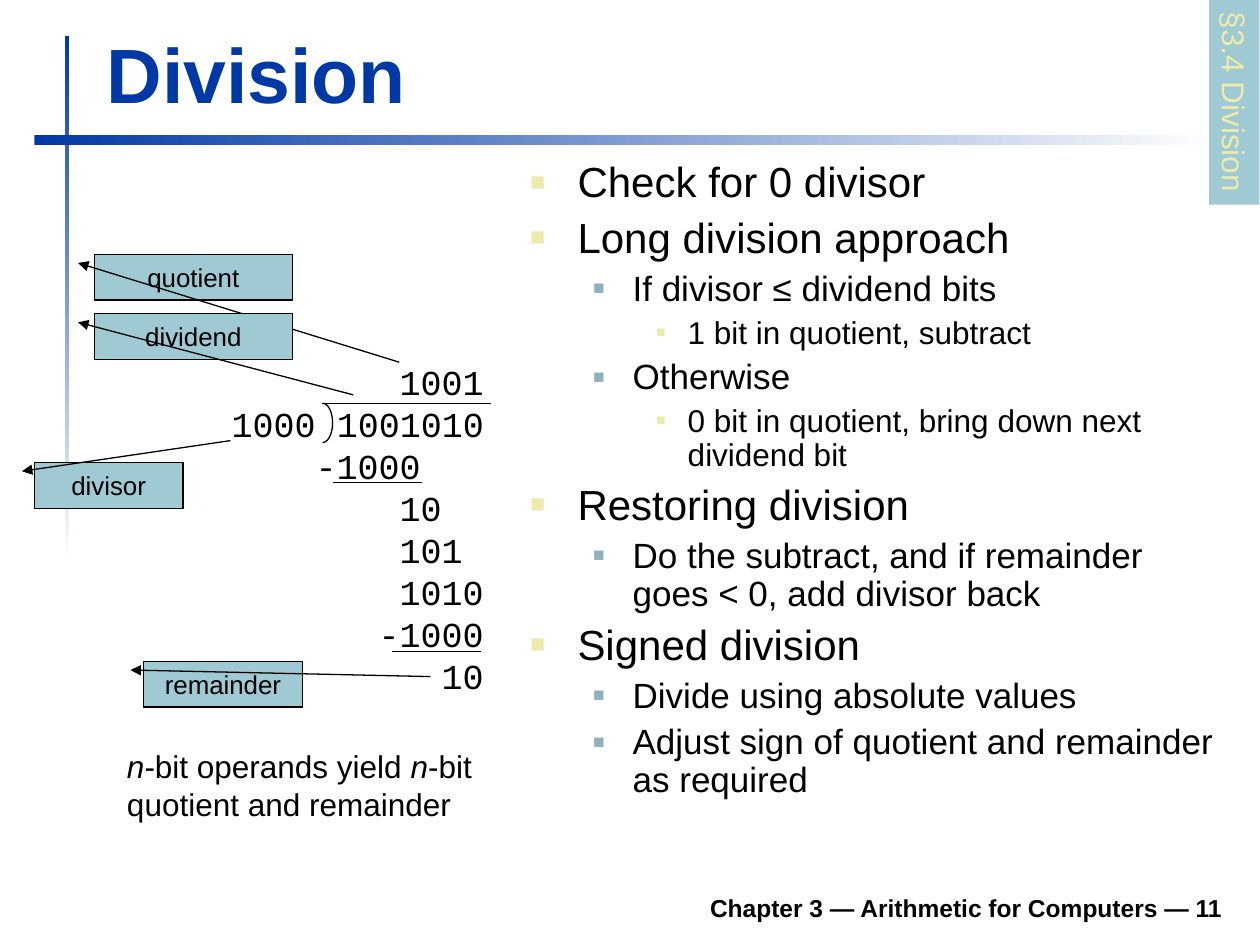
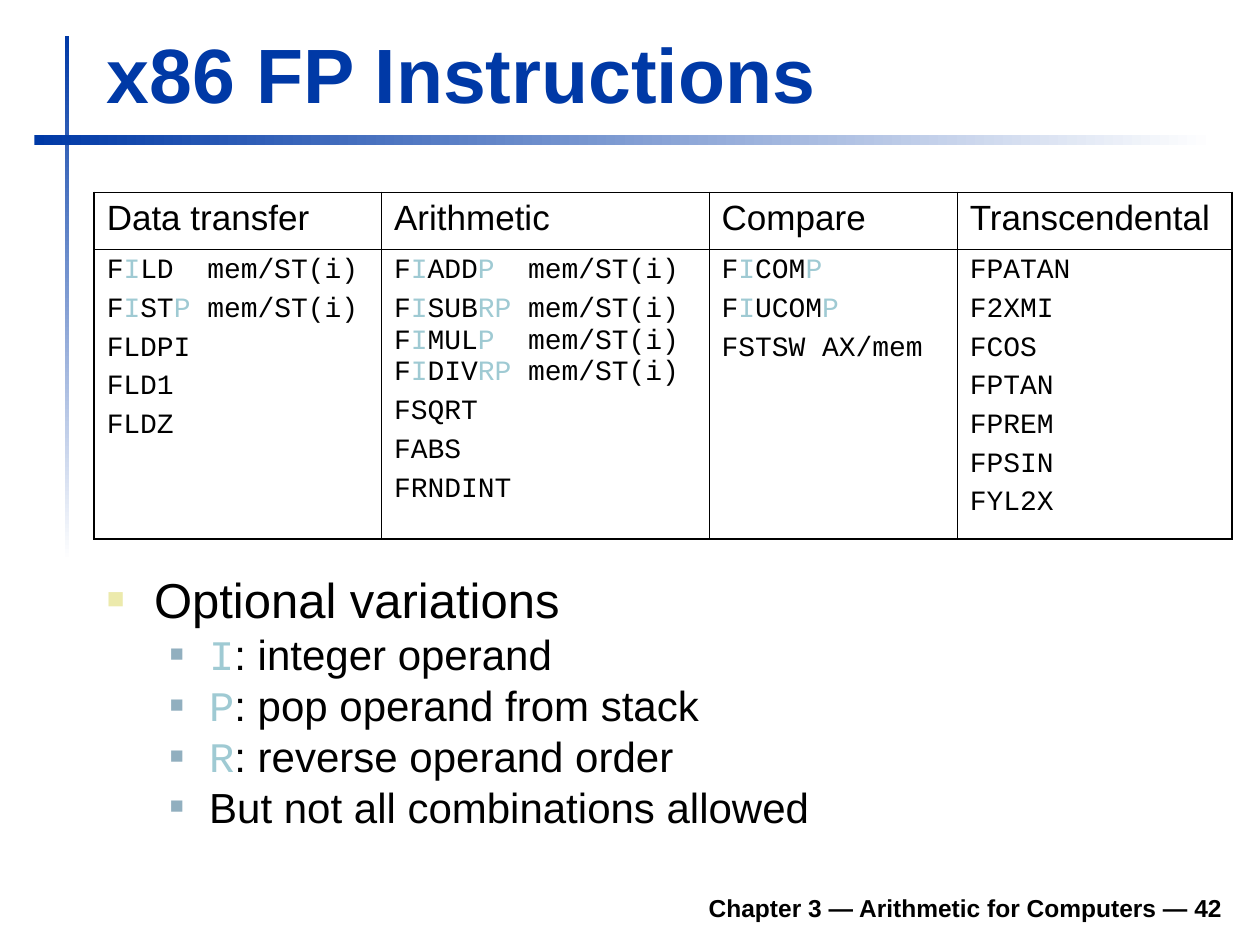
import pptx
import pptx.util
import pptx.dml.color
import pptx.enum.shapes
import pptx.enum.text
import pptx.oxml
import pptx.oxml.ns

Pt = pptx.util.Pt
SHAPE = pptx.enum.shapes.MSO_SHAPE
ALIGN = pptx.enum.text.PP_ALIGN
ANCHOR = pptx.enum.text.MSO_ANCHOR
NAMESPACE = pptx.oxml.ns.nsdecls("a")

COLORS = {
    "title": "0039A6",
    "text": "000000",
    "page": "FFFFFF",
    "accent": "9FCAD3",
    "sand": "ECEAAC",
    "slate": "91AFBF",
}
HAIRLINE = 0.74
SANS = {"name": "Arial", "color": "text"}
MONO = {"name": "Courier New", "color": "text"}
ACCENT_MONO = {"name": "Courier New", "color": "accent"}
TITLE_FONT = {**SANS, "size": Pt(44), "bold": True, "color": "title"}
FOOTER_FONT = {**SANS, "size": Pt(14), "bold": True}
LABEL_FONT = {**SANS, "size": Pt(14.8)}
BULLETS = [
    {"left": 27, "hang": 27, "color": "sand", "percent": 60},
    {"left": 58.5, "hang": 22.5, "color": "slate", "percent": 55},
    {"left": 90, "hang": 18, "color": "sand", "percent": 50},
]

DIVISION_POINTS = [
    (0, "Check for 0 divisor"),
    (0, "Long division approach"),
    (1, "If divisor ≤ dividend bits"),
    (2, "1 bit in quotient, subtract"),
    (1, "Otherwise"),
    (2, "0 bit in quotient, bring down next dividend bit"),
    (0, "Restoring division"),
    (1, "Do the subtract, and if remainder goes < 0, add divisor back"),
    (0, "Signed division"),
    (1, "Divide using absolute values"),
    (1, "Adjust sign of quotient and remainder as required"),
]
LONG_DIVISION = [
    (8, "1001"),
    (0, "1000 1001010"),
    (4, "-1000"),
    (8, "10"),
    (8, "101"),
    (8, "1010"),
    (7, "-1000"),
    (10, "10"),
]
VARIATIONS = [
    (0, "Optional variations"),
    (1, "*I*: integer operand"),
    (1, "*P*: pop operand from stack"),
    (1, "*R*: reverse operand order"),
    (1, "But not all combinations allowed"),
]
INSTRUCTIONS = {
    "Data transfer": [
        "F*I*LD  mem/ST(i)", "F*I*ST*P* mem/ST(i)", "FLDPI", "FLD1", "FLDZ",
    ],
    "Arithmetic": [
        "F*I*ADD*P*  mem/ST(i)",
        "F*I*SUB*RP* mem/ST(i) F*I*MUL*P*  mem/ST(i) F*I*DIV*RP* mem/ST(i)",
        "FSQRT", "FABS", "FRNDINT",
    ],
    "Compare": ["F*I*COM*P*", "F*I*UCOM*P*", "FSTSW AX/mem"],
    "Transcendental": [
        "FPATAN", "F2XMI", "FCOS", "FPTAN", "FPREM", "FPSIN", "FYL2X",
    ],
}


def rgb(name):
    return pptx.dml.color.RGBColor.from_string(COLORS[name])


def points(*lengths):
    return [Pt(length) for length in lengths]


def apply_format(target, values):
    for attribute, value in values.items():
        if attribute == "color":
            target.color.rgb = rgb(value)
        else:
            setattr(target, attribute, value)


def append_xml(parent, xml):
    parent.append(pptx.oxml.parse_xml(xml))


def add_runs(paragraph, text, font, emphasis=None):
    for index, piece in enumerate(text.split("*")):
        values = {**font, **(emphasis or {})} if index % 2 else font
        for number, line in enumerate(piece.split("\n")):
            if number:
                paragraph.add_line_break()
            if line:
                run = paragraph.add_run()
                run.text = line
                apply_format(run.font, values)


def next_paragraph(frame, index):
    return frame.add_paragraph() if index else frame.paragraphs[0]


def add_text_box(slide, box):
    shape = slide.shapes.add_textbox(*points(*box))
    shape.text_frame.word_wrap = True
    return shape


def add_label(slide, box, text, font, emphasis=None):
    shape = add_text_box(slide, box)
    add_runs(shape.text_frame.paragraphs[0], text, font, emphasis)
    return shape


def add_bullets(slide, box, items, sizes, spaces, line_spacing):
    frame = add_text_box(slide, box).text_frame
    for index, (level, text) in enumerate(items):
        paragraph = next_paragraph(frame, index)
        apply_format(paragraph, {
            "level": level,
            "line_spacing": line_spacing,
            "space_before": Pt(spaces[level]),
        })
        bullet = BULLETS[level]
        properties = paragraph._p.get_or_add_pPr()
        properties.set("marL", str(Pt(bullet["left"])))
        properties.set("indent", str(-Pt(bullet["hang"])))
        for xml in (
            f'<a:buClr {NAMESPACE}><a:srgbClr val="{COLORS[bullet["color"]]}"/></a:buClr>',
            f'<a:buSzPct {NAMESPACE} val="{bullet["percent"] * 1000}"/>',
            f'<a:buFont {NAMESPACE} typeface="Arial"/>',
            f'<a:buChar {NAMESPACE} char="■"/>',
        ):
            append_xml(properties, xml)
        add_runs(paragraph, text, {**SANS, "size": Pt(sizes[level])}, ACCENT_MONO)


def set_line(shape):
    apply_format(shape.line, {"color": "text", "width": Pt(HAIRLINE)})


def add_line(slide, left, right, y):
    connector = slide.shapes.add_connector(
        pptx.enum.shapes.MSO_CONNECTOR.STRAIGHT, *points(left, y, right, y))
    set_line(connector)
    append_xml(connector._element.spPr, f"<a:effectLst {NAMESPACE}/>")


def add_callout(slide, box, text, target):
    shape = slide.shapes.add_shape(SHAPE.LINE_CALLOUT_1, *points(*box))
    shape.shadow.inherit = False
    shape.fill.solid()
    shape.fill.fore_color.rgb = rgb("accent")
    set_line(shape)
    append_xml(shape.line._get_or_add_ln(), f'<a:headEnd {NAMESPACE} type="triangle"/>')
    for index, value in enumerate((0.188, -0.083, *target)):
        shape.adjustments[index] = value
    paragraph = shape.text_frame.paragraphs[0]
    paragraph.alignment = ALIGN.CENTER
    shape.text_frame.vertical_anchor = ANCHOR.MIDDLE
    add_runs(paragraph, text, LABEL_FONT)


def add_division_bracket(slide):
    arc = slide.shapes.add_shape(SHAPE.ARC, *points(178.6, 230.4, 11.5, 22.5))
    arc.adjustments[1] = 54
    arc.shadow.inherit = False
    arc.fill.background()
    set_line(arc)


def add_gradient_bar(slide, box, angle):
    bar = slide.shapes.add_shape(SHAPE.RECTANGLE, *points(*box))
    bar.shadow.inherit = False
    bar.line.fill.background()
    bar.fill.gradient()
    bar.fill.gradient_angle = angle
    for stop, name in zip(bar.fill.gradient_stops, ("title", "page")):
        stop.color.rgb = rgb(name)


def add_base_slide(presentation, title, number):
    slide = presentation.slides.add_slide(presentation.slide_layouts[5])
    add_gradient_bar(slide, (37, 20.4, 2.7, 300.2), 270)
    add_gradient_bar(slide, (19.7, 77, 674.6, 5.8), 0)
    footer = add_label(slide, (133.2, 502.6, 572.4, 28),
                       f"Chapter 3 — Arithmetic for Computers — {number}", FOOTER_FONT)
    footer.text_frame.vertical_anchor = ANCHOR.BOTTOM
    footer.text_frame.paragraphs[0].alignment = ALIGN.RIGHT
    shape = slide.shapes.title
    apply_format(shape, dict(zip(("left", "top", "width", "height"),
                                 points(53.8, 11.5, 650.2, 59.8))))
    apply_format(shape.text_frame, {
        "word_wrap": True,
        "auto_size": pptx.enum.text.MSO_AUTO_SIZE.NONE,
        "vertical_anchor": ANCHOR.BOTTOM,
    })
    paragraph = shape.text_frame.paragraphs[0]
    paragraph.alignment = ALIGN.LEFT
    add_runs(paragraph, title, TITLE_FONT)
    return slide


def add_long_division(slide):
    size = 20
    frame = add_text_box(slide, (125.3, 202.3, 165, 199.4)).text_frame
    for index, (column, digits) in enumerate(LONG_DIVISION):
        paragraph = next_paragraph(frame, index)
        properties = paragraph._p.get_or_add_pPr()
        properties.set("marL", str(Pt(column * size * 0.6)))
        add_runs(paragraph, digits, {**MONO, "size": Pt(size)})
    add_line(slide, 280.8, 184.3, 230.4)
    add_line(slide, 241.2, 190.1, 275.8)
    add_line(slide, 275, 223.9, 372.2)
    add_division_bracket(slide)


def set_borders(cell, widths):
    properties = cell._tc.get_or_add_tcPr()
    for side, width in zip("LRTB", widths):
        append_xml(properties,
                   f'<a:ln{side} {NAMESPACE} w="{Pt(width)}"><a:solidFill>'
                   f'<a:srgbClr val="{COLORS["text"]}"/></a:solidFill></a:ln{side}>')


def fill_cell(cell, lines, font, space):
    for index, line in enumerate(lines):
        paragraph = next_paragraph(cell.text_frame, index)
        paragraph.space_before = Pt(space)
        add_runs(paragraph, line, font, ACCENT_MONO)
    cell.fill.background()


def add_instruction_table(slide):
    inner, outer = 0.45, 1.08
    widths = (164.2, 187.2, 141.8, 157)
    table = slide.shapes.add_table(
        2, len(widths), *points(53.8, 110, sum(widths), 198)).table
    apply_format(table, {"first_row": False, "horz_banding": False})
    for row, height in zip(table.rows, (32.4, 165.6)):
        row.height = Pt(height)
    for index, (heading, lines) in enumerate(INSTRUCTIONS.items()):
        table.columns[index].width = Pt(widths[index])
        left = inner if index else outer
        right = outer if index == len(widths) - 1 else inner
        head, body = table.cell(0, index), table.cell(1, index)
        set_borders(head, (left, right, outer, HAIRLINE))
        set_borders(body, (left, right, HAIRLINE, outer))
        fill_cell(head, [heading], {**SANS, "size": Pt(20)}, 5)
        fill_cell(body, lines, {**MONO, "size": Pt(16)}, 4)


def build_division(presentation):
    slide = add_base_slide(presentation, "Division", 11)
    add_bullets(slide, (295.9, 88.6, 409.7, 402.5), DIVISION_POINTS,
                (24, 20, 18), (6, 5, 4.5), 0.9)
    add_long_division(slide)
    add_label(slide, (65.5, 423.4, 211.7, 50.4),
              "*n*-bit operands yield *n*-bit\nquotient and remainder",
              {**SANS, "size": Pt(18)}, {"italic": True})
    for text, left, top, width, target in (
        ("quotient", 54, 145.4, 113, (2.37, 1.542)),
        ("dividend", 54, 179.3, 113, (1.784, 1.309)),
        ("remainder", 82.1, 378, 90.7, (0.332, 1.807)),
        ("divisor", 19.6, 264.4, 85, (-0.486, 1.319)),
    ):
        add_callout(slide, (left, top, width, 26), text, target)
    section = add_label(slide, (646.6, 43.9, 117.4, 28.8), "§3.4 Division",
                        {**SANS, "size": Pt(18), "color": "sand"})
    section.text_frame.word_wrap = False
    section.rotation = 90
    section.fill.solid()
    section.fill.fore_color.rgb = rgb("accent")


def build_instructions(presentation):
    slide = add_base_slide(presentation, "x86 FP Instructions", 42)
    add_bullets(slide, (54, 328.3, 650.9, 162.7), VARIATIONS, (28, 24), (7, 6), 0.8)
    add_instruction_table(slide)


def main():
    presentation = pptx.Presentation()
    apply_format(presentation, {"slide_width": Pt(720), "slide_height": Pt(540)})
    build_division(presentation)
    build_instructions(presentation)
    presentation.save("out.pptx")


main()
